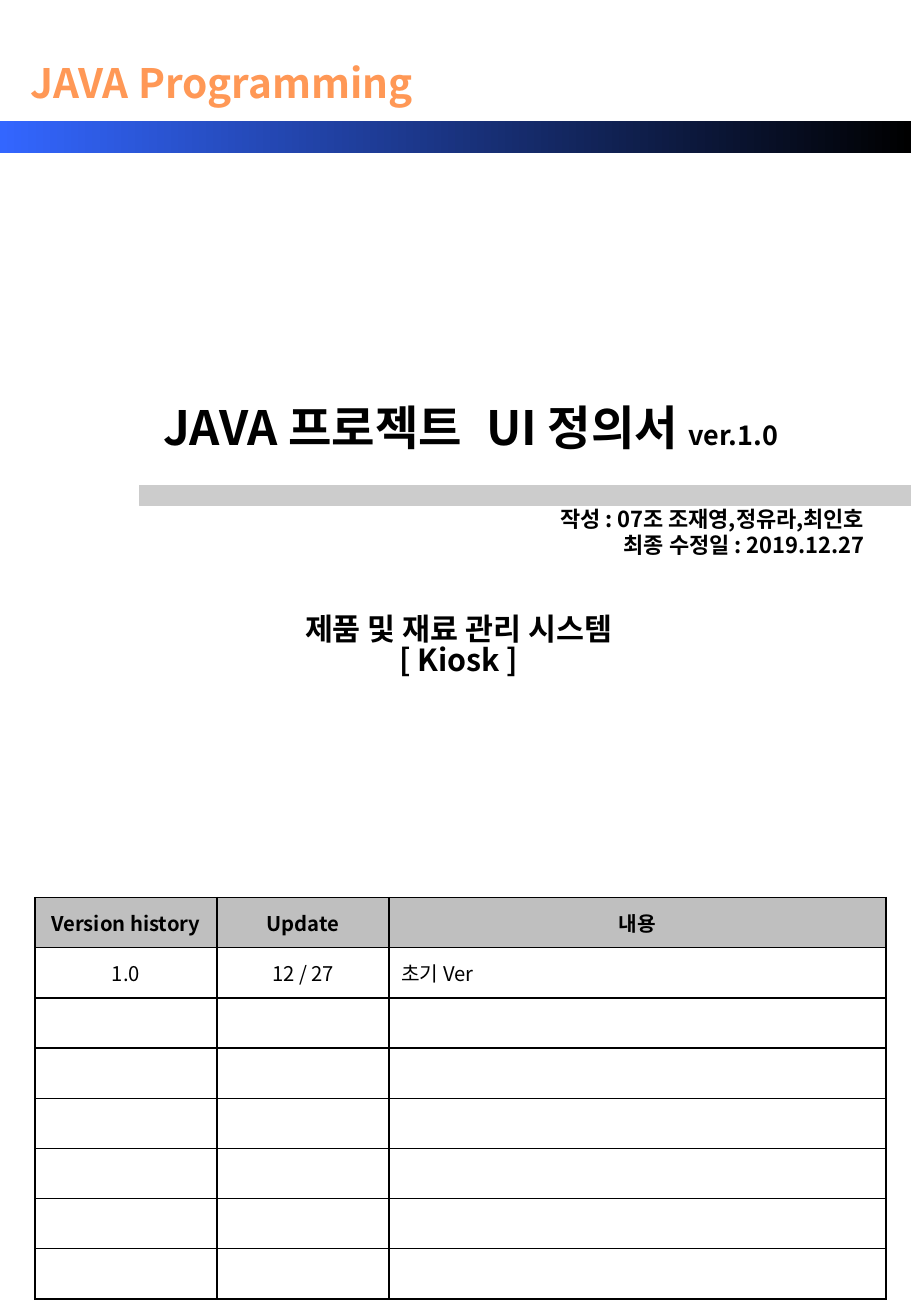
import enum

import pptx
import pptx.dml.color
import pptx.enum.shapes
import pptx.enum.text
import pptx.oxml.ns
import pptx.util
from lxml import etree

Pt = pptx.util.Pt
RGB = pptx.dml.color.RGBColor.from_string
ALIGN = pptx.enum.text.PP_ALIGN
ANCHOR = pptx.enum.text.MSO_ANCHOR
qn = pptx.oxml.ns.qn


class Theme(enum.Enum):
    FONT = "Noto Sans CJK KR"
    INK = "000000"
    ORANGE = "FF9856"
    BLUE = "3366FF"
    RULE = "CCCCCC"
    HEADER = "BFBFBF"
    PAPER = "FFFFFF"
    COURSE = 24
    TITLE = 28
    SUBTITLE = 18
    VERSION = 16
    AUTHOR = 13
    CELL = 12


def write(p, text, size=Theme.CELL, color=Theme.INK, bold=True, align=ALIGN.CENTER, spacing=0):
    p.alignment = align
    r = p.add_run()
    r.text = text
    r.font.size = Pt(size.value)
    r.font.bold = bold
    r.font.name = Theme.FONT.value
    r.font.color.rgb = RGB(color.value)
    rpr = r.font._element
    etree.SubElement(rpr, qn("a:ea"), typeface=Theme.FONT.value)
    if spacing:
        rpr.set("spc", str(spacing * 100))


def outline(cell, width, color):
    tcpr = cell._tc.get_or_add_tcPr()
    for i, side in enumerate(("lnL", "lnR", "lnT", "lnB")):
        ln = etree.Element(qn(f"a:{side}"), w=str(Pt(width)))
        fill = etree.SubElement(ln, qn("a:solidFill"))
        etree.SubElement(fill, qn("a:srgbClr"), val=color.value)
        tcpr.insert(i, ln)


prs = pptx.Presentation()
prs.slide_width = Pt(540)
prs.slide_height = Pt(780)
s = prs.slides.add_slide(prs.slide_layouts[5])

banner = s.shapes.add_shape(pptx.enum.shapes.MSO_SHAPE.RECTANGLE, Pt(0), Pt(71.5), Pt(540), Pt(19))
banner.shadow.inherit = False
banner.line.fill.background()
banner.fill.gradient()
banner.fill.gradient_angle = 0
for stop, color, position in zip(banner.fill.gradient_stops, (Theme.BLUE, Theme.INK), (0, 1)):
    stop.color.rgb = RGB(color.value)
    stop.position = position

rule = s.shapes.add_shape(pptx.enum.shapes.MSO_SHAPE.RECTANGLE, Pt(82.8), Pt(288), Pt(457.2), Pt(11.5))
rule.shadow.inherit = False
rule.fill.solid()
rule.fill.fore_color.rgb = RGB(Theme.RULE.value)
rule.line.color.rgb = RGB(Theme.RULE.value)
rule.line.width = Pt(0.75)

title = s.shapes.title
title.left, title.top, title.width, title.height = Pt(24), Pt(232.5), Pt(510), Pt(50)
tf = title.text_frame
tf.word_wrap = True
tf.auto_size = pptx.enum.text.MSO_AUTO_SIZE.NONE
tf.vertical_anchor = ANCHOR.TOP
p = tf.paragraphs[0]
write(p, "JAVA 프로젝트", size=Theme.TITLE)
write(p, " ", size=Theme.TITLE, spacing=8)
write(p, "UI 정의서 ", size=Theme.TITLE)
write(p, "ver.1.0", size=Theme.VERSION)

text_blocks = [
    ((10, 31, 242.6, 42), ["JAVA Programming"], Theme.COURSE, Theme.ORANGE, ALIGN.CENTER, 1),
    ((172.8, 296, 346.3, 46), ["작성 : 07조 조재영,정유라,최인호", "최종 수정일 : 2019.12.27"],
     Theme.AUTHOR, Theme.INK, ALIGN.RIGHT, 1),
    ((82.8, 361.4, 378, 62.6), ["제품 및 재료 관리 시스템", "[ Kiosk ]"],
     Theme.SUBTITLE, Theme.INK, ALIGN.CENTER, 0.85),
]
for box, lines, size, color, align, line_spacing in text_blocks:
    tf = s.shapes.add_textbox(*map(Pt, box)).text_frame
    tf.word_wrap = True
    for i, line in enumerate(lines):
        p = tf.add_paragraph() if i else tf.paragraphs[0]
        p.line_spacing = line_spacing
        write(p, line, size=size, color=color, align=align)

history = [("Version history", "Update", "내용"), ("1.0", "12 / 27", "초기 Ver")]
row_count, row_height = 8, 29.75
column_widths = (108, 102, 294.5)
table = s.shapes.add_table(row_count, len(column_widths), Pt(20.7), Pt(532),
                           Pt(sum(column_widths)), Pt(row_count * row_height)).table
for column, width in zip(table.columns, column_widths):
    column.width = Pt(width)
for i, row in enumerate(table.rows):
    row.height = Pt(row_height)
    for j, cell in enumerate(row.cells):
        cell.margin_top = cell.margin_bottom = Pt(0)
        cell.vertical_anchor = ANCHOR.MIDDLE
        cell.fill.solid()
        cell.fill.fore_color.rgb = RGB((Theme.PAPER if i else Theme.HEADER).value)
        outline(cell, 1, Theme.INK)
        if i < len(history):
            align = ALIGN.LEFT if i and j == 2 else ALIGN.CENTER
            write(cell.text_frame.paragraphs[0], history[i][j], bold=i == 0, align=align)

prs.save("out.pptx")
